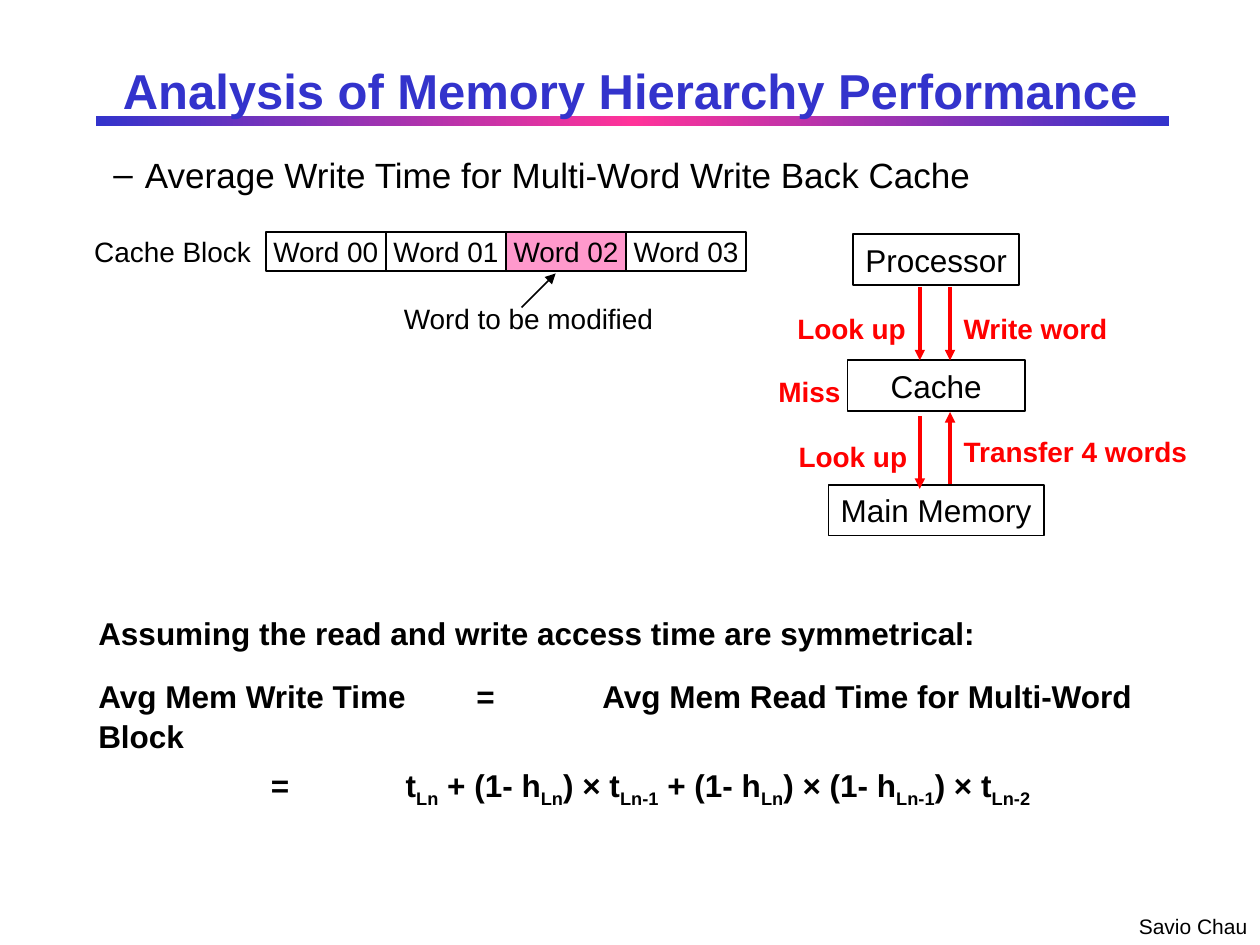
from lxml.etree import SubElement
from pptx import Presentation
from pptx.dml.color import RGBColor
from pptx.enum.shapes import MSO_CONNECTOR, MSO_SHAPE
from pptx.enum.text import MSO_ANCHOR, MSO_AUTO_SIZE, PP_ALIGN
from pptx.oxml.ns import qn
from pptx.util import Inches, Pt

COLORS = {"black": "000000", "blue": "3333CC", "magenta": "FF3399",
          "pink": "FF99CC", "red": "FF0000"}
FONT = "Arial"
TITLE = "Analysis of Memory Hierarchy Performance"
FORMULA = [("\t=\t t", "Ln"), (" + (1- h", "Ln"), (") × t", "Ln-1"),
           (" + (1- h", "Ln"), (") × (1- h", "Ln-1"), (") × t", "Ln-2")]
BODY = [
    dict(parts=[("Average Write Time for Multi-Word Write Back Cache", "")],
         size=20, bold=False, margin=0.5, indent=-0.25, before=5, lines=1, bullet="–"),
    dict(parts=[("Assuming the read and write access time are symmetrical:", "")],
         size=18, bold=True, margin=0.13, indent=0, before=239, lines=1, bullet=None),
    dict(parts=[("Avg Mem Write Time\t=\tAvg Mem Read Time for Multi-Word Block", "")],
         size=18, bold=True, margin=0.13, indent=0, before=12.8, lines=1.07, bullet=None),
    dict(parts=FORMULA,
         size=18, bold=True, margin=0.5, indent=0, before=6.2, lines=1, bullet=None),
]
TAB_STOPS = [1, 2, 3, 4]

WORDS = ["Word 00", "Word 01", "Word 02", "Word 03"]
MODIFIED = "Word 02"
WORD_LEFT, WORD_TOP, WORD_WIDTH, WORD_HEIGHT = 2.11, 1.84, 0.953, 0.31

LEVEL_CENTER, LEVEL_HEIGHT = 7.43, 0.4
LEVELS = [("Processor", 1.86, 1.32), ("Cache", 2.86, 1.41), ("Main Memory", 3.85, 1.71)]
LOOKUP_X, TRANSFER_X = 7.3, 7.54
ARROWS = [
    (4.14, 2.44, 4.41, 2.17, "black", 1),
    (LOOKUP_X, 2.28, LOOKUP_X, 2.86, "red", 2),
    (TRANSFER_X, 2.28, TRANSFER_X, 2.86, "red", 2),
    (LOOKUP_X, 3.3, LOOKUP_X, 3.88, "red", 2),
    (TRANSFER_X, 3.84, TRANSFER_X, 3.27, "red", 2),
]
CENTER, LEFT = PP_ALIGN.CENTER, PP_ALIGN.LEFT
LABELS = [
    ("Cache Block", 0.69, 1.84, 1.36, 0.31, 16, "black", CENTER),
    ("Word to be modified", 3.11, 2.36, 2.17, 0.34, 16, "black", CENTER),
    ("Look up", 6.23, 2.42, 1.06, 0.37, 16, "red", LEFT),
    ("Write word", 7.55, 2.42, 1.34, 0.37, 16, "red", LEFT),
    ("Miss", 6.08, 2.92, 0.69, 0.37, 16, "red", LEFT),
    ("Look up", 6.24, 3.44, 1.06, 0.37, 16, "red", LEFT),
    ("Transfer 4 words", 7.55, 3.4, 1.98, 0.37, 16, "red", LEFT),
    ("Savio Chau", 8.94, 7.2, 1.06, 0.3, 12, "black", LEFT),
]


def color(name):
    return RGBColor.from_string(COLORS[name])


def style(span, size, name, bold=False):
    span.font.name = FONT
    span.font.size = Pt(size)
    span.font.bold = bold
    span.font.color.rgb = color(name)


def place(shape, left, top, width, height):
    shape.left, shape.top = Inches(left), Inches(top)
    shape.width, shape.height = Inches(width), Inches(height)


def write(shape, text, size, name, align, bold=False, wrap=False):
    frame = shape.text_frame
    frame.text = text
    frame.word_wrap = wrap
    frame.auto_size = MSO_AUTO_SIZE.NONE
    frame.vertical_anchor = MSO_ANCHOR.MIDDLE
    para = frame.paragraphs[0]
    para.alignment = align
    style(para.runs[0], size, name, bold)


def add_box(left, top, width, height, text, size, fill=None):
    box = page.shapes.add_shape(MSO_SHAPE.RECTANGLE, Inches(left), Inches(top),
                                Inches(width), Inches(height))
    box.shadow.inherit = False
    if fill:
        box.fill.solid()
        box.fill.fore_color.rgb = color(fill)
    else:
        box.fill.background()
    box.line.color.rgb = color("black")
    box.line.width = Pt(1)
    write(box, text, size, "black", CENTER)


def add_arrow(x1, y1, x2, y2, name, width):
    arrow = page.shapes.add_connector(MSO_CONNECTOR.STRAIGHT, Inches(x1), Inches(y1),
                                      Inches(x2), Inches(y2))
    arrow.line.color.rgb = color(name)
    arrow.line.width = Pt(width)
    SubElement(arrow.line._get_or_add_ln(), qn("a:tailEnd"), type="triangle")
    SubElement(arrow.element.spPr, qn("a:effectLst"))


def add_title_bar():
    bar = page.shapes.add_shape(MSO_SHAPE.RECTANGLE, Inches(0.76), Inches(0.92),
                                Inches(8.52), Inches(0.08))
    bar.shadow.inherit = False
    bar.line.fill.background()
    bar.fill.gradient()
    bar.fill.gradient_angle = 0
    stops = bar.element.spPr.find(qn("a:gradFill")).find(qn("a:gsLst"))
    for stop in list(stops):
        stops.remove(stop)
    for position, name in [(0, "blue"), (50000, "magenta"), (100000, "blue")]:
        stop = SubElement(stops, qn("a:gs"), pos=str(position))
        SubElement(stop, qn("a:srgbClr"), val=COLORS[name])
    bar.element.getparent().insert(2, bar.element)


def fill_body(body):
    frame = body.text_frame
    frame.word_wrap = True
    frame.auto_size = MSO_AUTO_SIZE.NONE
    frame.vertical_anchor = MSO_ANCHOR.TOP
    for index, item in enumerate(BODY):
        para = frame.paragraphs[0] if index == 0 else frame.add_paragraph()
        para.alignment = LEFT
        para.space_before, para.space_after = Pt(item["before"]), Pt(0)
        para.line_spacing = item["lines"]
        properties = para._p.get_or_add_pPr()
        properties.set("marL", str(Inches(item["margin"])))
        properties.set("indent", str(Inches(item["indent"])))
        properties.set("defTabSz", str(Inches(1)))
        if item["bullet"]:
            SubElement(properties, qn("a:buFont"), typeface=FONT)
            SubElement(properties, qn("a:buChar"), char=item["bullet"])
        else:
            SubElement(properties, qn("a:buNone"))
            tabs = SubElement(properties, qn("a:tabLst"))
            for stop in TAB_STOPS:
                SubElement(tabs, qn("a:tab"), pos=str(Inches(stop)), algn="l")
        for text, subscript in item["parts"]:
            for value, baseline in [(text, None), (subscript, "-25000")]:
                if value:
                    span = para.add_run()
                    span.text = value
                    style(span, item["size"], "black", item["bold"])
                    if baseline:
                        span.font._element.set("baseline", baseline)


deck = Presentation()
deck.slide_width, deck.slide_height = Inches(10), Inches(7.5)
page = deck.slides.add_slide(deck.slide_layouts[1])

title, body = page.shapes.title, page.placeholders[1]
place(title, 0.75, 0.42, 8.5, 0.58)
write(title, TITLE, 28, "blue", CENTER, bold=True, wrap=True)
place(body, 0.55, 1.17, 8.91, 5.67)
fill_body(body)
add_title_bar()

for index, word in enumerate(WORDS):
    add_box(WORD_LEFT + index * WORD_WIDTH, WORD_TOP, WORD_WIDTH, WORD_HEIGHT, word, 16,
            "pink" if word == MODIFIED else None)
for name, top, width in LEVELS:
    add_box(LEVEL_CENTER - width / 2, top, width, LEVEL_HEIGHT, name, 18)
for arrow in ARROWS:
    add_arrow(*arrow)
for text, left, top, width, height, size, name, align in LABELS:
    label = page.shapes.add_textbox(Inches(left), Inches(top), Inches(width), Inches(height))
    write(label, text, size, name, align, bold=name == "red")

deck.save("out.pptx")
